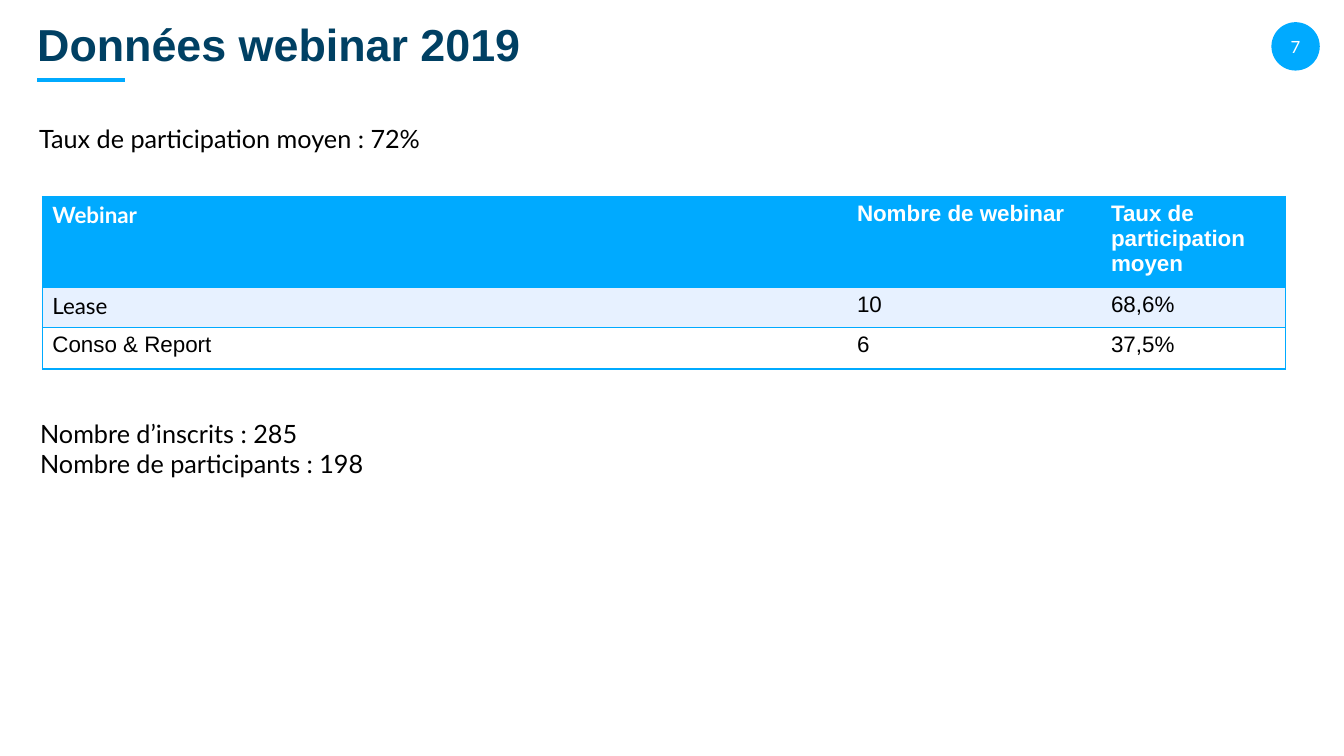
"""Build the 2019 webinar figures slide."""
from lxml import etree
from pptx import Presentation
from pptx.dml.color import RGBColor
from pptx.enum.shapes import MSO_CONNECTOR, MSO_SHAPE
from pptx.enum.text import MSO_ANCHOR, PP_ALIGN
from pptx.oxml.ns import qn
from pptx.util import Inches, Pt

BLUE = RGBColor(0x00, 0xAA, 0xFF)
NAVY = RGBColor(0x00, 0x40, 0x63)
PALE = RGBColor(0xE7, 0xF1, 0xFF)
WHITE = RGBColor(0xFF, 0xFF, 0xFF)
BLACK = RGBColor(0x00, 0x00, 0x00)
ARIAL, LATO = "Arial", "Lato"
OVAL = MSO_SHAPE.OVAL
STRAIGHT = MSO_CONNECTOR.STRAIGHT
LEFT, CENTER = PP_ALIGN.LEFT, PP_ALIGN.CENTER
TOP, MIDDLE = MSO_ANCHOR.TOP, MSO_ANCHOR.MIDDLE
NO_STYLE = "{2D5ABB26-0587-4C30-8999-92F81FD0307C}"


class SlideBuilder:
    def __init__(self, slide):
        self.shapes = slide.shapes

    def run(self, p, text, size, font, color, bold=False):
        r = p.add_run()
        r.text = text
        r.font.size, r.font.name, r.font.bold = Pt(size), font, bold
        r.font.color.rgb = color

    def text(self, box, lines, size, font=LATO, color=BLACK, bold=False,
             align=LEFT, anchor=TOP, spacing=1.0):
        tf = self.shapes.add_textbox(*map(Inches, box)).text_frame
        tf.word_wrap = True
        tf.vertical_anchor = anchor
        for i, line in enumerate(lines):
            p = tf.add_paragraph() if i else tf.paragraphs[0]
            p.alignment, p.line_spacing = align, spacing
            self.run(p, line, size, font, color, bold)

    def disc(self, box, color):
        sp = self.shapes.add_shape(OVAL, *map(Inches, box))
        sp.shadow.inherit = False
        sp.fill.solid()
        sp.fill.fore_color.rgb = color
        sp.line.fill.background()

    def line(self, ends, color, width):
        cx = self.shapes.add_connector(STRAIGHT, *map(Inches, ends))
        cx.line.color.rgb, cx.line.width = color, Pt(width)
        etree.SubElement(cx._element.spPr, qn("a:effectLst"))

    def border(self, cell, sides, color):
        tc_pr = cell._tc.get_or_add_tcPr()
        for i, side in enumerate(sides):
            ln = etree.Element(qn(f"a:ln{side}"), w=str(Pt(1)))
            fill = etree.SubElement(ln, qn("a:solidFill"))
            etree.SubElement(fill, qn("a:srgbClr"), val=str(color))
            tc_pr.insert(i, ln)

    def table(self, box, widths, heights, rows, fills, lato_cells):
        tbl = self.shapes.add_table(len(rows), len(widths), *map(Inches, box)).table
        tbl.horz_banding = False
        tbl._tbl.tblPr.find(qn("a:tableStyleId")).text = NO_STYLE
        for col, width in zip(tbl.columns, widths):
            col.width = Inches(width)
        for row, height in zip(tbl.rows, heights):
            row.height = Inches(height)
        for i, values in enumerate(rows):
            for j, value in enumerate(values):
                cell = tbl.cell(i, j)
                cell.fill.solid()
                cell.fill.fore_color.rgb = fills[i]
                self.run(cell.text_frame.paragraphs[0], value, 16,
                         LATO if (i, j) in lato_cells else ARIAL,
                         BLACK if i else WHITE, bold=i == 0)
                sides = ("L" if j == 0 else "") + ("R" if j == len(widths) - 1 else "")
                self.border(cell, sides + "TB", BLUE)


def main():
    prs = Presentation()
    prs.slide_width, prs.slide_height = Inches(13.33), Inches(7.5)
    s = SlideBuilder(prs.slides.add_slide(prs.slide_layouts[6]))

    s.disc((12.61, 0.22, 0.48, 0.48), BLUE)
    s.text((12.46, 0.26, 0.78, 0.4), ["7"], 12, color=WHITE, align=CENTER, anchor=MIDDLE)
    s.line((0.37, 0.79, 1.24, 0.79), BLUE, 3)
    s.text((0.27, 0.13, 12.19, 0.68), ["Données webinar 2019"], 32, ARIAL, NAVY,
           bold=True, anchor=MIDDLE, spacing=0.9)
    s.text((0.29, 1.17, 12.56, 0.4), ["Taux de participation moyen : 72%"], 18)
    s.table((0.42, 1.95, 12.33, 1.71), (7.98, 2.52, 1.83), (0.9, 0.4, 0.41),
            [("Webinar", "Nombre de webinar", "Taux de participation moyen"),
             ("Lease", "10", "68,6%"),
             ("Conso & Report", "6", "37,5%")],
            (BLUE, PALE, WHITE), {(0, 0), (1, 0)})
    s.text((0.3, 4.1, 12.56, 0.71),
           ["Nombre d’inscrits : 285", "Nombre de participants : 198"], 18)

    prs.save("out.pptx")


if __name__ == "__main__":
    main()
